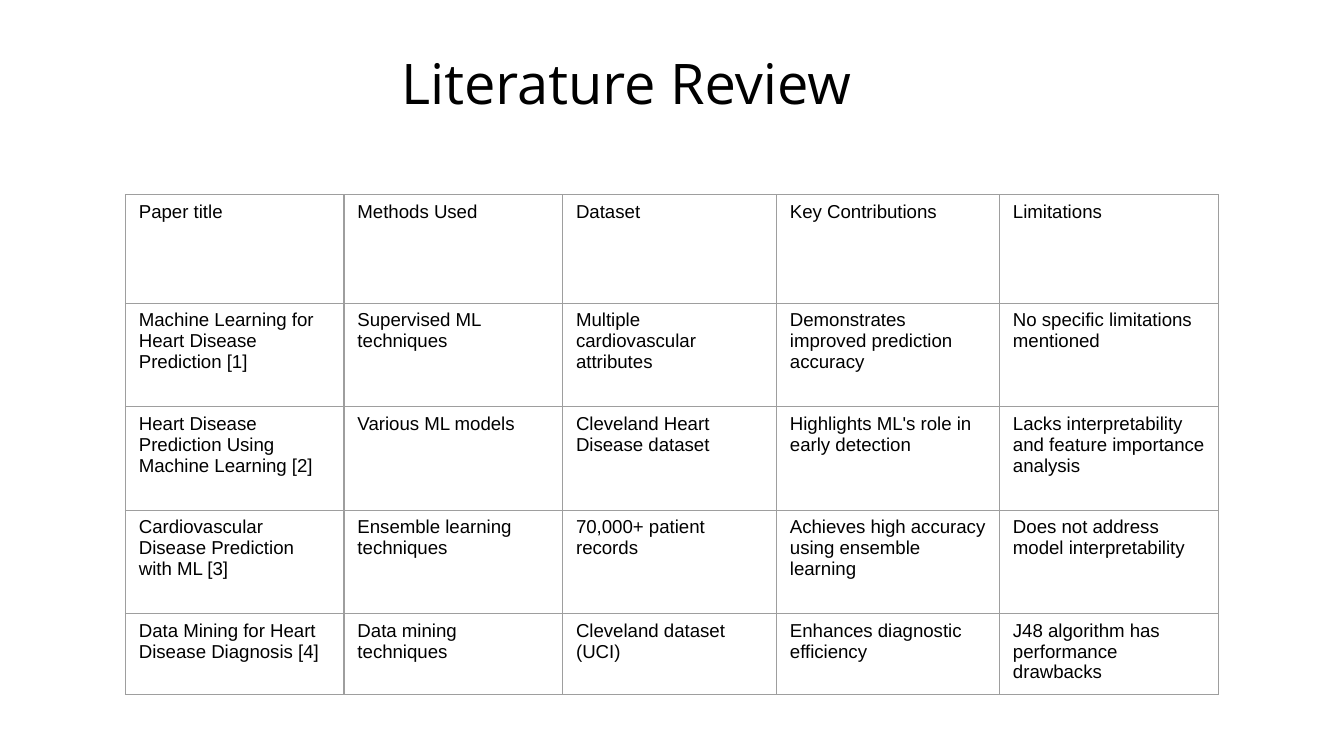
from dataclasses import dataclass

from lxml.etree import SubElement
from pptx import Presentation
from pptx.dml.color import RGBColor
from pptx.enum.text import MSO_ANCHOR as Anchor, MSO_AUTO_SIZE as AutoSize, PP_ALIGN as Align
from pptx.oxml.ns import qn
from pptx.util import Pt


@dataclass(frozen=True)
class Theme:
    ink: str = "000000"
    grid: str = "9E9E9E"
    title_font: str = "Open Sans"
    body_font: str = "Arial"
    title_size: float = 30
    body_size: float = 10
    grid_width: float = 0.75


def apply_format(target, values):
    for name, value in values.items():
        setattr(target, name, value)


class SlideBuilder:
    def __init__(self, deck, theme):
        self.theme = theme
        self.slide = deck.slides.add_slide(deck.slide_layouts[5])

    def style_font(self, font, family, size):
        apply_format(font, {"name": family, "size": Pt(size), "bold": False})
        font.color.rgb = RGBColor.from_string(self.theme.ink)

    def title(self, wording, left, top, width, height):
        heading = self.slide.shapes.title
        apply_format(heading, {"left": Pt(left), "top": Pt(top),
                               "width": Pt(width), "height": Pt(height)})
        frame = heading.text_frame
        apply_format(frame, {"text": wording, "word_wrap": True, "auto_size": AutoSize.NONE,
                             "vertical_anchor": Anchor.MIDDLE, "margin_left": 0,
                             "margin_top": Pt(1), "margin_right": 0, "margin_bottom": 0})
        paragraph = frame.paragraphs[0]
        apply_format(paragraph, {"alignment": Align.CENTER, "line_spacing": 1.0})
        self.style_font(paragraph.runs[0].font, self.theme.title_font, self.theme.title_size)

    def cell_borders(self, cell):
        properties = cell._tc.get_or_add_tcPr()
        for position, side in enumerate(("a:lnL", "a:lnR", "a:lnT", "a:lnB")):
            border = SubElement(properties, qn(side), w=str(Pt(self.theme.grid_width)))
            properties.insert(position, border)
            fill = SubElement(border, qn("a:solidFill"))
            SubElement(fill, qn("a:srgbClr"), val=self.theme.grid)

    def table(self, entries, left, top, widths, heights):
        grid = self.slide.shapes.add_table(
            len(entries), len(widths), Pt(left), Pt(top),
            Pt(sum(widths)), Pt(sum(heights))).table
        apply_format(grid, {"first_row": False, "horz_banding": False})
        for column, width in zip(grid.columns, widths):
            column.width = Pt(width)
        for row, height, wordings in zip(grid.rows, heights, entries):
            row.height = Pt(height)
            for cell, wording in zip(row.cells, wordings):
                apply_format(cell, {"text": wording, "vertical_anchor": Anchor.TOP,
                                    "margin_left": Pt(7.2), "margin_right": Pt(7.2),
                                    "margin_top": Pt(3.6), "margin_bottom": Pt(3.6)})
                cell.fill.background()
                self.cell_borders(cell)
                self.style_font(cell.text_frame.paragraphs[0].runs[0].font,
                                self.theme.body_font, self.theme.body_size)


PAPERS = [
    ("Paper title", "Methods Used", "Dataset", "Key Contributions", "Limitations"),
    ("Machine Learning for Heart Disease Prediction [1]", "Supervised ML techniques",
     "Multiple cardiovascular attributes", "Demonstrates improved prediction accuracy",
     "No specific limitations mentioned"),
    ("Heart Disease Prediction Using Machine Learning [2]", "Various ML models",
     "Cleveland Heart Disease dataset", "Highlights ML's role in early detection",
     "Lacks interpretability and feature importance analysis"),
    ("Cardiovascular Disease Prediction with ML [3]", "Ensemble learning techniques",
     "70,000+ patient records", "Achieves high accuracy using ensemble learning",
     "Does not address model interpretability"),
    ("Data Mining for Heart Disease Diagnosis [4]", "Data mining techniques",
     "Cleveland dataset (UCI)", "Enhances diagnostic efficiency",
     "J48 algorithm has performance drawbacks"),
]


def main():
    deck = Presentation()
    apply_format(deck, {"slide_width": Pt(720), "slide_height": Pt(405)})
    review = SlideBuilder(deck, Theme())
    review.title("Literature Review", 168.5, 25.2, 334, 36.7)
    review.table(PAPERS, 67.2, 104.3,
                 widths=[117.1, 117.1, 114.6, 119.5, 117.1],
                 heights=[58.3, 55.4, 55.4, 55.4, 43.2])
    deck.save("out.pptx")


if __name__ == "__main__":
    main()
